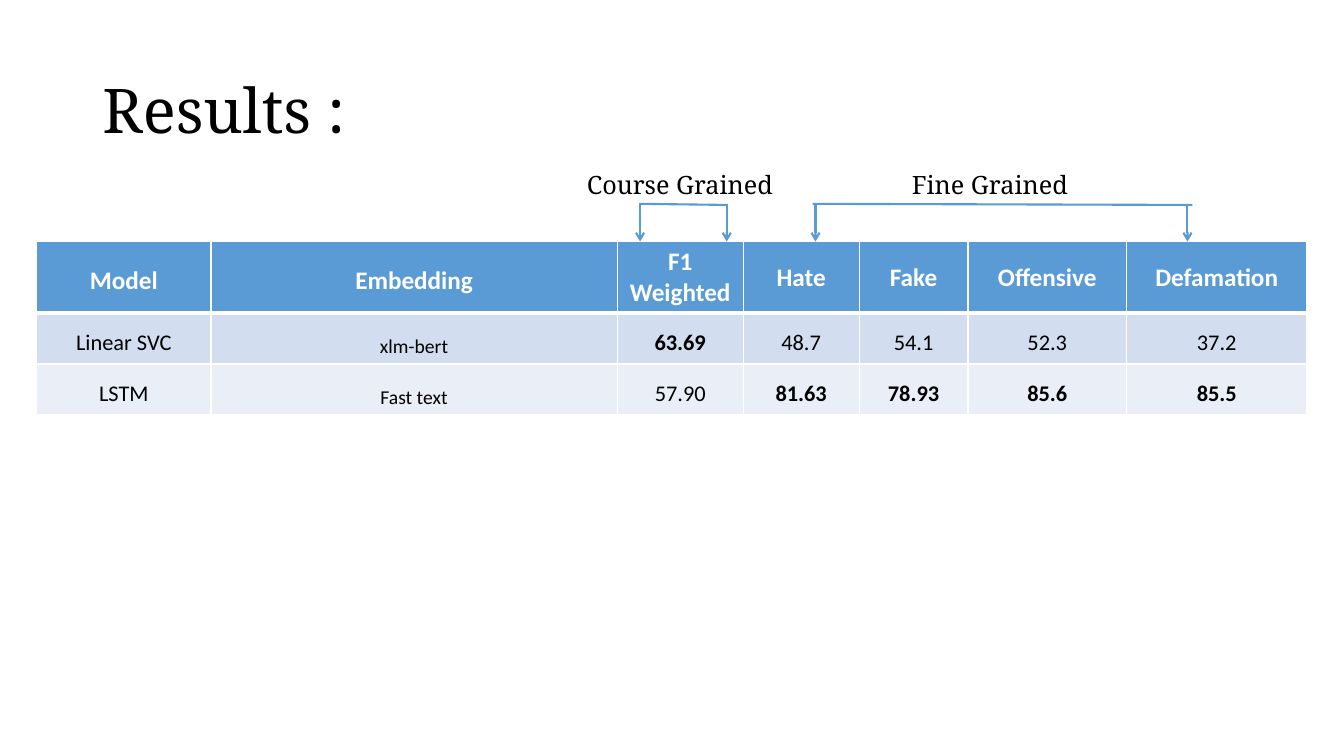
from dataclasses import dataclass

from lxml.etree import SubElement
from pptx import Presentation
from pptx.dml.color import RGBColor as RGB
from pptx.enum.shapes import MSO_CONNECTOR as Connector
from pptx.enum.text import MSO_ANCHOR as Anchor
from pptx.enum.text import MSO_AUTO_SIZE as AutoSize
from pptx.enum.text import PP_ALIGN as Align
from pptx.oxml import parse_xml
from pptx.oxml.ns import nsdecls, qn
from pptx.util import Pt


@dataclass(frozen=True)
class Theme:
    """Colours, fonts and type sizes of the slide."""
    black: str = "000000"
    white: str = "FFFFFF"
    blue: str = "5B9BD5"
    bands: tuple = ("D2DEEF", "EAEFF7")
    serif: str = "Noto Serif"
    sans: str = "Calibri"
    title: int = 44
    head: int = 18
    body: int = 16
    small: int = 14


T = Theme()
COLUMNS = (124.5, 290.2, 90, 82.8, 77.8, 113.2, 128.9)
ROWS = (50.4, 36, 34.6)
HEADERS = ("Model", "Embedding", "F1\nWeighted", "Hate", "Fake",
           "Offensive", "Defamation")
RESULTS = (
    ("Linear SVC", "xlm-bert", "63.69", "48.7", "54.1", "52.3", "37.2"),
    ("LSTM", "Fast text", "57.90", "81.63", "78.93", "85.6", "85.5"),
)
BEST = {"63.69", "81.63", "78.93", "85.6", "85.5"}


def add_text(tf, text, size, font, color, align=Align.CENTER, bold=False, spacing=1.0):
    """Write each line of text as a formatted paragraph."""
    for i, line in enumerate(text.split("\n")):
        p = tf.add_paragraph() if i else tf.paragraphs[0]
        p.alignment, p.line_spacing = align, spacing
        r = p.add_run()
        r.text = line
        r.font.size, r.font.name, r.font.bold = Pt(size), font, bold
        r.font.color.rgb = RGB.from_string(color)


def add_title(s, text):
    """Place and fill the title placeholder."""
    sp = s.shapes.title
    sp.left, sp.top, sp.width, sp.height = Pt(66), Pt(28.8), Pt(828), Pt(104.4)
    tf = sp.text_frame
    tf.auto_size, tf.vertical_anchor = AutoSize.NONE, Anchor.MIDDLE
    add_text(tf, text, T.title, T.serif, T.black, Align.LEFT, spacing=0.9)


def set_borders(cell, top=1, bottom=1):
    """Draw white cell borders with the given top and bottom widths."""
    tc_pr = cell._tc.get_or_add_tcPr()
    for i, (side, width) in enumerate(zip("LRTB", (1, 1, top, bottom))):
        tc_pr.insert(i, parse_xml(
            f'<a:ln{side} {nsdecls("a")} w="{Pt(width)}"><a:solidFill>'
            f'<a:srgbClr val="{T.white}"/></a:solidFill></a:ln{side}>'))


def fill_cell(cell, text, fill, **style):
    """Fill a cell and write its centred text."""
    cell.fill.solid()
    cell.fill.fore_color.rgb = RGB.from_string(fill)
    add_text(cell.text_frame, text, font=T.sans, **style)


def add_results_table(s, x, y):
    """Build the table of model scores."""
    table = s.shapes.add_table(len(ROWS), len(COLUMNS), Pt(x), Pt(y),
                               Pt(sum(COLUMNS)), Pt(sum(ROWS))).table
    for column, width in zip(table.columns, COLUMNS):
        column.width = Pt(width)
    for row, height in zip(table.rows, ROWS):
        row.height = Pt(height)
    for j, text in enumerate(HEADERS):
        cell = table.cell(0, j)
        spacing = 1.6 if j < 2 else 1.0 if "\n" in text else 1.5
        fill_cell(cell, text, T.blue, size=T.head, color=T.white, bold=True, spacing=spacing)
        set_borders(cell, bottom=3)
    for i, (values, band) in enumerate(zip(RESULTS, T.bands), 1):
        for j, text in enumerate(values):
            cell = table.cell(i, j)
            size, spacing = (T.small, 1.7) if j == 1 else (T.body, 1.4)
            fill_cell(cell, text, band, size=size, color=T.black,
                      bold=text in BEST, spacing=spacing)
            set_borders(cell, top=3 if i == 1 else 1)


def add_line(shapes, x1, y1, x2, y2, arrow=False):
    """Draw a blue line, with an open arrowhead at its end if asked."""
    line = shapes.add_connector(Connector.STRAIGHT, Pt(x1), Pt(y1), Pt(x2), Pt(y2))
    line.line.width = Pt(1.5)
    line.line.color.rgb = RGB.from_string(T.blue)
    if arrow:
        SubElement(line.line._get_or_add_ln(), qn("a:tailEnd"), type="arrow")
    SubElement(line._element.spPr, qn("a:effectLst"))


def add_bracket(s, text, box_x, box_width, bar, arrows):
    """Group a label with a bar and arrows down to the table."""
    shapes = s.shapes.add_group_shape().shapes
    tf = shapes.add_textbox(Pt(box_x), Pt(117.4), Pt(box_width), Pt(28.8)).text_frame
    tf.word_wrap, tf.auto_size = True, AutoSize.SHAPE_TO_FIT_TEXT
    add_text(tf, text, T.head, T.serif, T.black)
    add_line(shapes, bar[0], 145.6, bar[1], 146.4)
    for x in arrows:
        add_line(shapes, x, 146, x, 172.6, arrow=True)


def main():
    """Build and save the results slide."""
    prs = Presentation()
    prs.slide_width, prs.slide_height = Pt(960), Pt(540)
    s = prs.slides.add_slide(prs.slide_layouts[5])
    add_title(s, "Results :")
    add_results_table(s, 26.2, 172.6)
    add_bracket(s, "Fine Grained", 598.3, 217.4, (580.4, 851.8), (582.5, 848.2))
    add_bracket(s, "Course Grained", 259.2, 452.9, (456.6, 519.8), (457.2, 519.1))
    prs.save("out.pptx")


if __name__ == "__main__":
    main()
